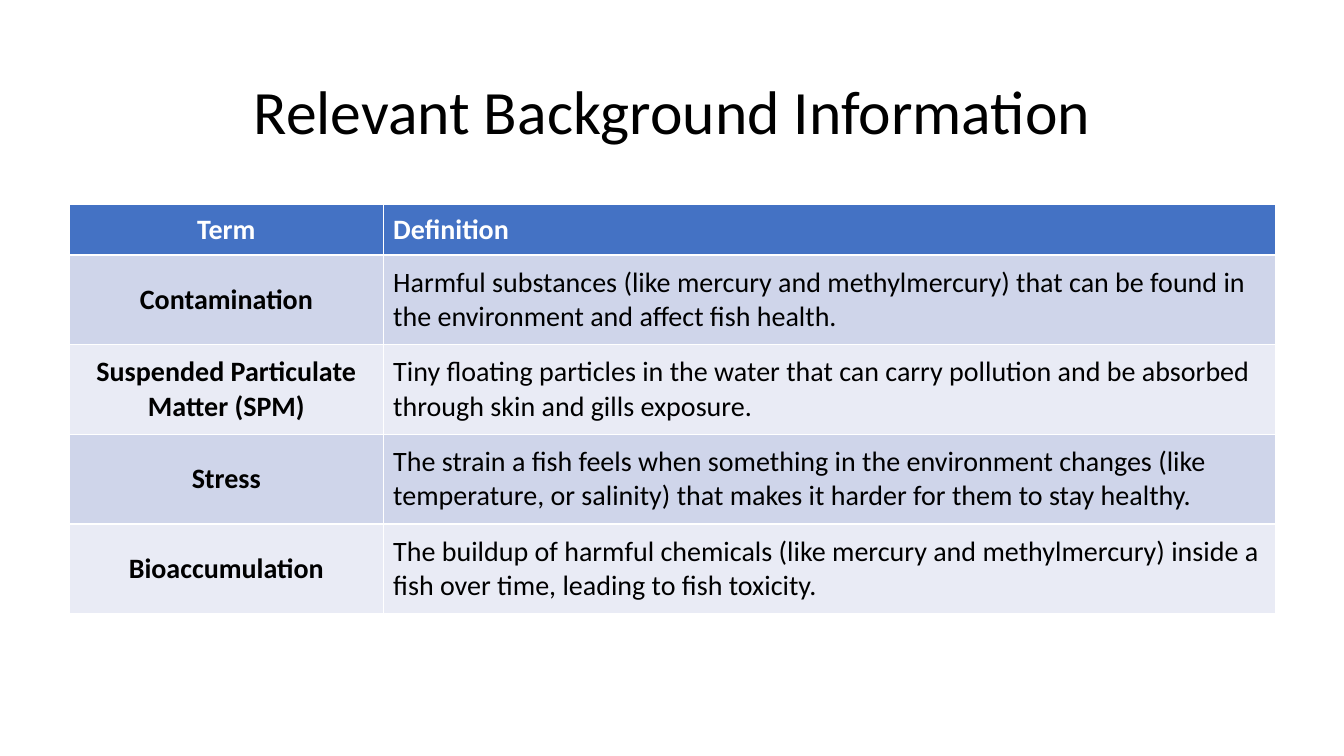
"""Builds a slide with a table of background terms and definitions."""
import pptx
import pptx.dml.color
import pptx.enum.text
import pptx.util

TITLE = "Relevant Background Information"
ROWS = [
    ("Term", "Definition"),
    ("Contamination",
     "Harmful substances (like mercury and methylmercury) that can be found in "
     "the environment and affect fish health."),
    ("Suspended Particulate Matter (SPM)",
     "Tiny floating particles in the water that can carry pollution and be "
     "absorbed through skin and gills exposure."),
    ("Stress",
     "The strain a fish feels when something in the environment changes (like "
     "temperature, or salinity) that makes it harder for them to stay healthy."),
    ("Bioaccumulation",
     "The buildup of harmful chemicals (like mercury and methylmercury) inside "
     "a fish over time, leading to fish toxicity."),
]
COLORS = {"head": "4472C4", "odd": "CFD5EA", "even": "E9EBF5",
          "light": "FFFFFF", "dark": "000000"}
WIDTHS = (3.11, 8.85)
HEAD, BODY = 0.5, 0.89

Inches = pptx.util.Inches
ALIGN = pptx.enum.text.PP_ALIGN
MIDDLE = pptx.enum.text.MSO_ANCHOR.MIDDLE


def color(name):
    return pptx.dml.color.RGBColor.from_string(COLORS[name])


def write(frame, text, size, shade, align, bold=False):
    frame.text = text
    frame.word_wrap = True
    para = frame.paragraphs[0]
    para.alignment = align
    font = para.runs[0].font
    font.name = "Calibri"
    font.size = pptx.util.Pt(size)
    font.bold = bold
    font.color.rgb = color(shade)
    return para


def add_title(slide):
    box = slide.shapes.add_textbox(
        Inches(0.92), Inches(0.41), Inches(11.5), Inches(1.45))
    para = write(box.text_frame, TITLE, 44, "dark", ALIGN.CENTER)
    para.line_spacing = 0.9
    box.text_frame.vertical_anchor = MIDDLE


def add_terms(slide):
    heights = [HEAD] + [BODY] * (len(ROWS) - 1)
    table = slide.shapes.add_table(
        len(ROWS), len(WIDTHS), Inches(0.69), Inches(2.03),
        Inches(sum(WIDTHS)), Inches(sum(heights))).table
    for col, width in zip(table.columns, WIDTHS):
        col.width = Inches(width)
    for i, (texts, height) in enumerate(zip(ROWS, heights)):
        table.rows[i].height = Inches(height)
        fill = "head" if i == 0 else "odd" if i % 2 else "even"
        shade = "light" if i == 0 else "dark"
        for j, text in enumerate(texts):
            cell = table.cell(i, j)
            cell.fill.solid()
            cell.fill.fore_color.rgb = color(fill)
            cell.vertical_anchor = MIDDLE
            align = ALIGN.LEFT if j else ALIGN.CENTER
            write(cell.text_frame, text, 20, shade, align, i == 0 or j == 0)


def main():
    deck = pptx.Presentation()
    deck.slide_width, deck.slide_height = Inches(13.33), Inches(7.5)
    slide = deck.slides.add_slide(deck.slide_layouts[6])
    add_title(slide)
    add_terms(slide)
    deck.save("out.pptx")


if __name__ == "__main__":
    main()
